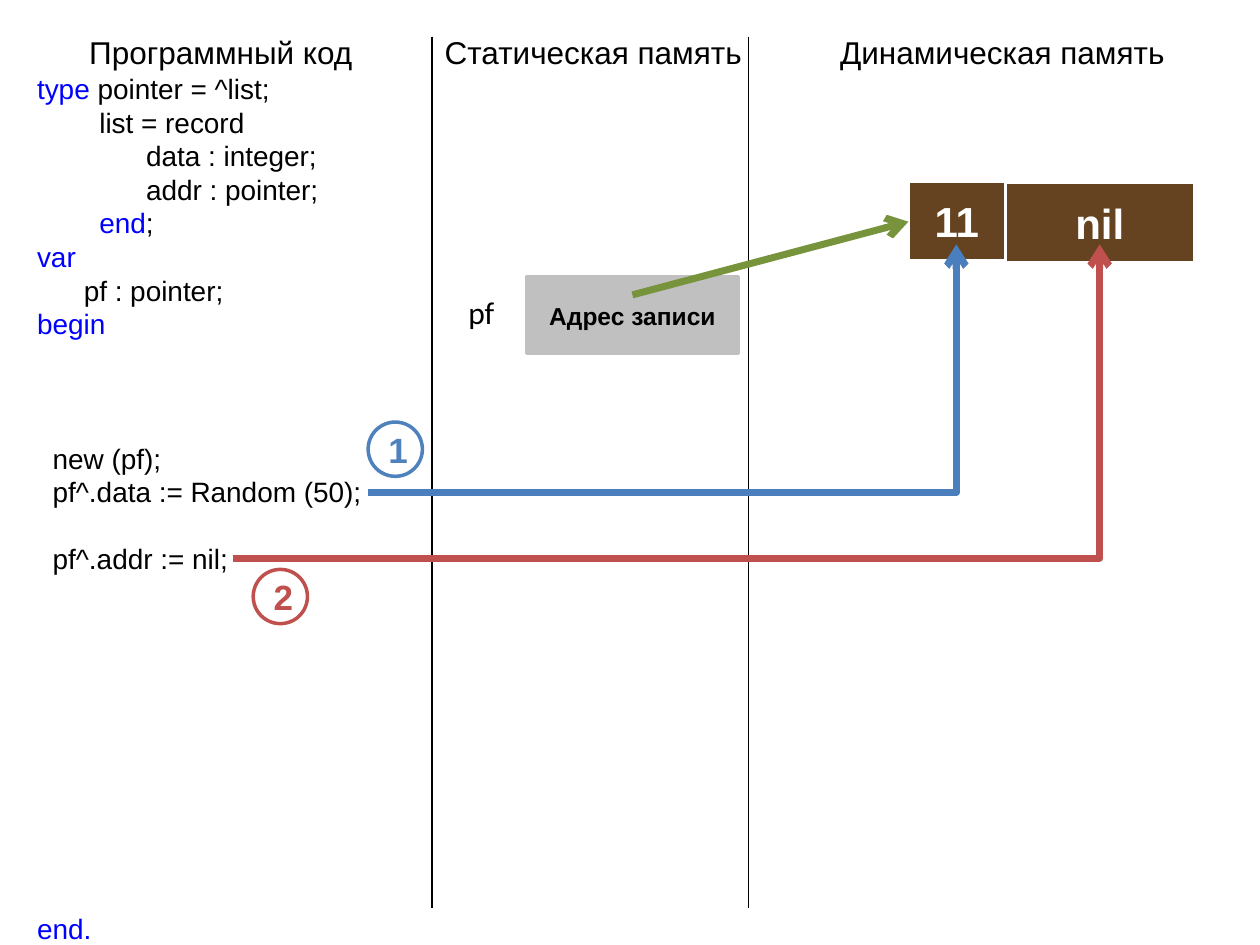
from lxml.etree import SubElement
from pptx import Presentation
from pptx.dml.color import RGBColor
from pptx.enum.shapes import MSO_CONNECTOR, MSO_SHAPE
from pptx.enum.text import MSO_ANCHOR, PP_ALIGN
from pptx.oxml.ns import qn
from pptx.util import Pt

BLACK = RGBColor(0, 0, 0)
WHITE = RGBColor(255, 255, 255)
KEY = RGBColor(0, 0, 255)
BROWN = RGBColor(0x65, 0x43, 0x21)
GRAY = RGBColor(0xC0, 0xC0, 0xC0)
BLUE = RGBColor(0x4F, 0x81, 0xBD)
STEEL = RGBColor(0x4B, 0x7E, 0xBC)
RED = RGBColor(0xC0, 0x50, 0x4D)
GREEN = RGBColor(0x77, 0x93, 0x3C)

ROW = 19.2  # height of a code line
HEADS = [(43.9, 166.3, "Программный код"),
         (247, 185.8, "Статическая память"),
         (473, 201.6, "Динамическая память")]

# Each line: blank rows above, indent, runs
CODE = [
    (0, 0, [("type", KEY), (" pointer = ^list;", BLACK)]),
    (0, 35.6, [("list = record", BLACK)]),
    (0, 62.3, [("data : integer;", BLACK)]),
    (0, 62.3, [("addr : pointer;", BLACK)]),
    (0, 35.6, [("end", KEY), (";", BLACK)]),
    (0, 0, [("var", KEY)]),
    (0, 26.7, [("pf : pointer;", BLACK)]),
    (0, 0, [("begin", KEY)]),
    (3, 8.9, [("new (pf);", BLACK)]),
    (0, 8.9, [("pf^.data := Random (50);", BLACK)]),
    (1, 8.9, [("pf^.addr := nil;", BLACK)]),
    (10, 0, [("end.", KEY)]),
]


def add_run(par, text, size, color, bold=False, face="Arial"):
    run = par.add_run()
    run.text = text
    font = run.font
    font.name, font.size, font.bold = face, Pt(size), bold
    font.color.rgb = color


def add_box(slide, x, y, w, h):
    frame = slide.shapes.add_textbox(Pt(x), Pt(y), Pt(w), Pt(h)).text_frame
    frame.word_wrap = True
    return frame


def add_cell(slide, kind, x, y, w, h, text, size, ink, line, fill=None):
    cell = slide.shapes.add_shape(kind, Pt(x), Pt(y), Pt(w), Pt(h))
    cell.shadow.inherit = False
    if fill is None:
        cell.fill.background()
    else:
        cell.fill.solid()
        cell.fill.fore_color.rgb = fill
    cell.line.color.rgb = line
    cell.line.width = Pt(2)
    frame = cell.text_frame
    frame.word_wrap = True
    frame.vertical_anchor = MSO_ANCHOR.MIDDLE
    par = frame.paragraphs[0]
    par.alignment = PP_ALIGN.CENTER
    add_run(par, text, size, ink, True)


def add_line(slide, start, end, color, width, arrow=False, bent=False):
    kind = MSO_CONNECTOR.ELBOW if bent else MSO_CONNECTOR.STRAIGHT
    line = slide.shapes.add_connector(kind, *map(Pt, start + end))
    line.line.color.rgb = color
    line.line.width = Pt(width)
    props = line._element.spPr
    SubElement(props, qn("a:effectLst"))
    if arrow:
        SubElement(props.find(qn("a:ln")), qn("a:tailEnd"), type="arrow")
    if bent:  # turn at the far end
        guides = props.find(qn("a:prstGeom")).find(qn("a:avLst"))
        SubElement(guides, qn("a:gd"), name="adj1", fmla="val 100000")


def add_heads(slide, top):
    for x, w, text in HEADS:
        frame = add_box(slide, x, top, w, 28.8)
        add_run(frame.paragraphs[0], text, 18, BLACK)
    for x in (247, 427.7):
        add_line(slide, (x, top + 5.8), (x, top + 504), BLACK, 1)


def add_code(slide, x, y, w, h):
    frame = add_box(slide, x, y, w, h)
    for i, (gap, indent, runs) in enumerate(CODE):
        par = frame.add_paragraph() if i else frame.paragraphs[0]
        par.line_spacing = Pt(ROW)
        par.space_before = Pt(gap * ROW)
        par._p.get_or_add_pPr().set("marL", str(Pt(indent)))
        for text, color in runs:
            add_run(par, text, 16, color)


def add_node(slide, x, y):
    for dx, dy, w, text in [(0, 0, 55.4, "11"), (55.4, 0.7, 108, "nil")]:
        add_cell(slide, MSO_SHAPE.RECTANGLE, x + dx, y + dy, w, 46,
                 text, 24, WHITE, WHITE, BROWN)


def add_var(slide, x, y):
    add_cell(slide, MSO_SHAPE.RECTANGLE, x + 40.3, y, 121, 43.9,
             "Адрес записи", 14, BLACK, GRAY, GRAY)
    frame = add_box(slide, x, y + 5.8, 69, 28.8)
    add_run(frame.paragraphs[0], "pf", 18, BLACK, face="Calibri")


def add_step(slide, x, y, text, color):
    add_cell(slide, MSO_SHAPE.OVAL, x, y, 31, 31, text, 20, color, color)


deck = Presentation()
deck.slide_width, deck.slide_height = Pt(720), Pt(540)
slide = deck.slides.add_slide(deck.slide_layouts[6])

add_heads(slide, 15.1)
add_code(slide, 14.1, 37.4, 202.3, 511.2)

# Memory cells and step marks
add_step(slide, 144.7, 325.4, "2", RED)
add_node(slide, 519.1, 103.3)
add_var(slide, 260.6, 158.2)
add_step(slide, 210.4, 241.2, "1", BLUE)

# Arrows
add_line(slide, (210.2, 281.4), (546.5, 139.7), STEEL, 4, True, True)
add_line(slide, (133.2, 319), (628.4, 139.7), RED, 4, True, True)
add_line(slide, (361.4, 168.5), (519.1, 126.7), GREEN, 4, True)

deck.save("out.pptx")
